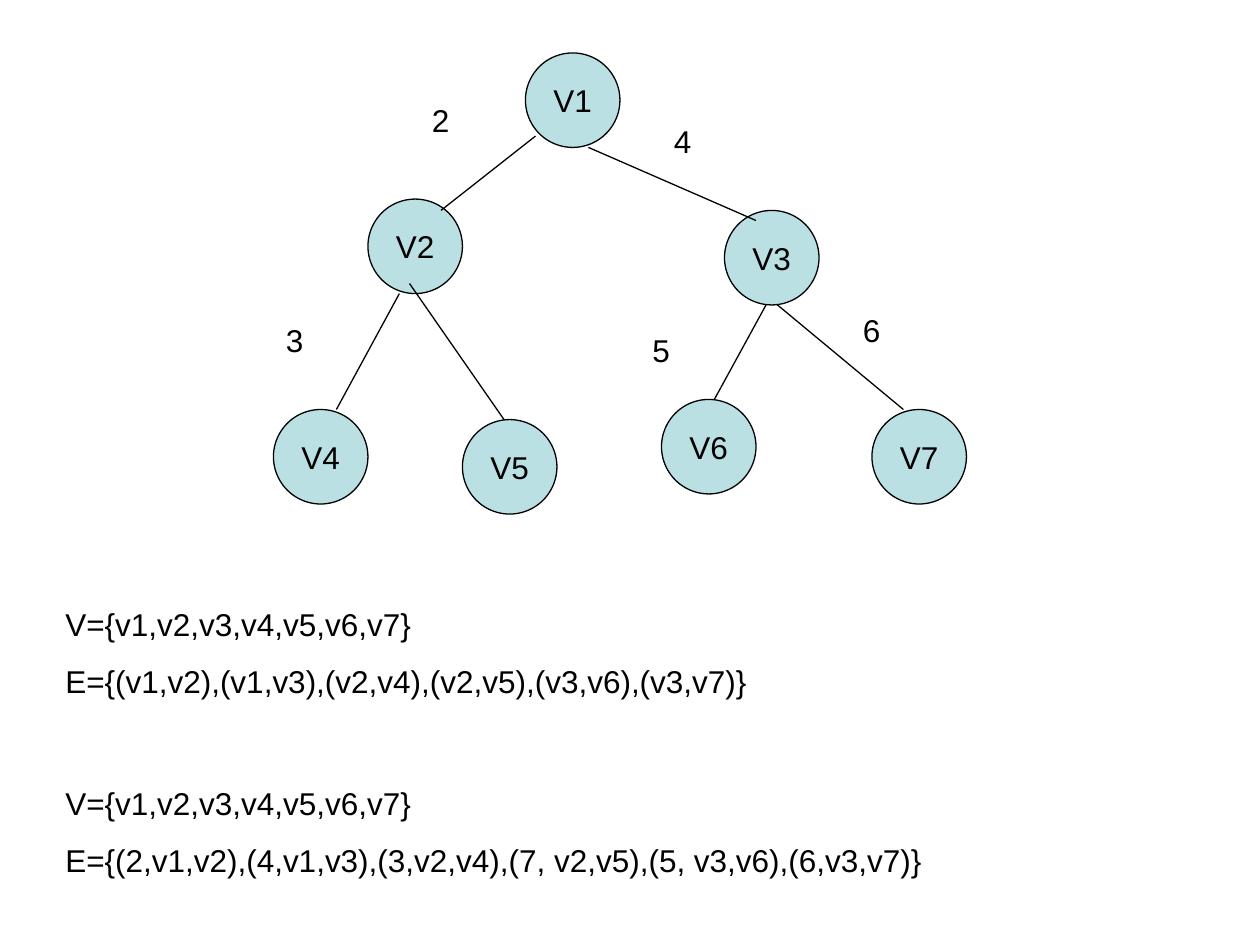
import pptx
import pptx.dml.color
import pptx.enum.shapes
import pptx.enum.text
import pptx.oxml
import pptx.util
from pptx.util import Inches

BLACK = pptx.dml.color.RGBColor(0x00, 0x00, 0x00)
PALE_TEAL = pptx.dml.color.RGBColor(0xBB, 0xE0, 0xE3)
FONT_NAME = "Arial"
FONT_SIZE = pptx.util.Pt(18)
LINE_WIDTH = pptx.util.Pt(0.75)
PARAGRAPH_GAP = pptx.util.Pt(11.2)
NODE_SIZE = 0.75
LABEL_HEIGHT = 0.4

# Offsets in inches from the top left corner of the tree.
NODES = {
    "V1": (2, 0),
    "V2": (0.75, 1.16),
    "V3": (3.58, 1.25),
    "V4": (0, 2.83),
    "V5": (1.5, 2.91),
    "V6": (3.08, 2.75),
    "V7": (4.75, 2.83),
}
EDGES = [
    ((2.08, 0.66), (1.33, 1.25)),
    ((2.5, 0.75), (3.83, 1.33)),
    ((1, 1.91), (0.5, 2.83)),
    ((1.08, 1.83), (1.83, 2.91)),
    ((3.91, 2), (3.5, 2.75)),
    ((4, 2), (5, 2.83)),
]
WEIGHTS = [  # text, left, top, width
    ("2", 1.16, 0.33, 0.5),
    ("3", 0, 2.08, 0.42),
    ("4", 3.08, 0.5, 0.58),
    ("5", 2.91, 2.16, 0.42),
    ("6", 4.58, 2, 0.42),
]
VERTEX_SET = "V={v1,v2,v3,v4,v5,v6,v7}"
EDGE_SET = "E={(v1,v2),(v1,v3),(v2,v4),(v2,v5),(v3,v6),(v3,v7)}"
WEIGHTED_EDGE_SET = "E={(2,v1,v2),(4,v1,v3),(3,v2,v4),(7, v2,v5),(5, v3,v6),(6,v3,v7)}"


def add_run(paragraph, text):
    run = paragraph.add_run()
    run.text = text
    run.font.name = FONT_NAME
    run.font.size = FONT_SIZE
    run.font.color.rgb = BLACK


def add_text(slide, left, top, width, height, lines):
    box = slide.shapes.add_textbox(Inches(left), Inches(top), Inches(width), Inches(height))
    frame = box.text_frame
    frame.word_wrap = True
    frame.auto_size = pptx.enum.text.MSO_AUTO_SIZE.SHAPE_TO_FIT_TEXT
    for index, line in enumerate(lines):
        paragraph = frame.add_paragraph() if index else frame.paragraphs[0]
        if index:
            paragraph.space_before = PARAGRAPH_GAP
        add_run(paragraph, line)


def add_node(slide, left, top, name):
    node = slide.shapes.add_shape(
        pptx.enum.shapes.MSO_SHAPE.OVAL,
        Inches(left), Inches(top), Inches(NODE_SIZE), Inches(NODE_SIZE),
    )
    node.shadow.inherit = False
    node.fill.solid()
    node.fill.fore_color.rgb = PALE_TEAL
    node.line.color.rgb = BLACK
    node.line.width = LINE_WIDTH
    frame = node.text_frame
    frame.word_wrap = False
    frame.vertical_anchor = pptx.enum.text.MSO_ANCHOR.MIDDLE
    paragraph = frame.paragraphs[0]
    paragraph.alignment = pptx.enum.text.PP_ALIGN.CENTER
    add_run(paragraph, name)


def add_edge(slide, start_x, start_y, end_x, end_y):
    edge = slide.shapes.add_connector(
        pptx.enum.shapes.MSO_CONNECTOR.STRAIGHT,
        Inches(start_x), Inches(start_y), Inches(end_x), Inches(end_y),
    )
    edge.line.color.rgb = BLACK
    edge.line.width = LINE_WIDTH
    properties = edge._element.spPr
    properties.append(pptx.oxml.parse_xml(
        '<a:effectLst xmlns:a="http://schemas.openxmlformats.org/drawingml/2006/main"/>'
    ))


def add_tree(slide, left, top):
    for name, (x, y) in NODES.items():
        add_node(slide, left + x, top + y, name)
    for (start_x, start_y), (end_x, end_y) in EDGES:
        add_edge(slide, left + start_x, top + start_y, left + end_x, top + end_y)
    for weight, x, y, width in WEIGHTS:
        add_text(slide, left + x, top + y, width, LABEL_HEIGHT, [weight])


def main():
    presentation = pptx.Presentation()
    presentation.slide_width = Inches(10)
    presentation.slide_height = Inches(7.5)
    slide = presentation.slides.add_slide(presentation.slide_layouts[6])
    add_tree(slide, 2.17, 0.42)
    add_text(slide, 0.42, 4.75, 9.33, 0.86, [VERTEX_SET, EDGE_SET])
    add_text(slide, 0.42, 6.17, 8.75, 0.86, [VERTEX_SET, WEIGHTED_EDGE_SET])
    presentation.save("out.pptx")


if __name__ == "__main__":
    main()
